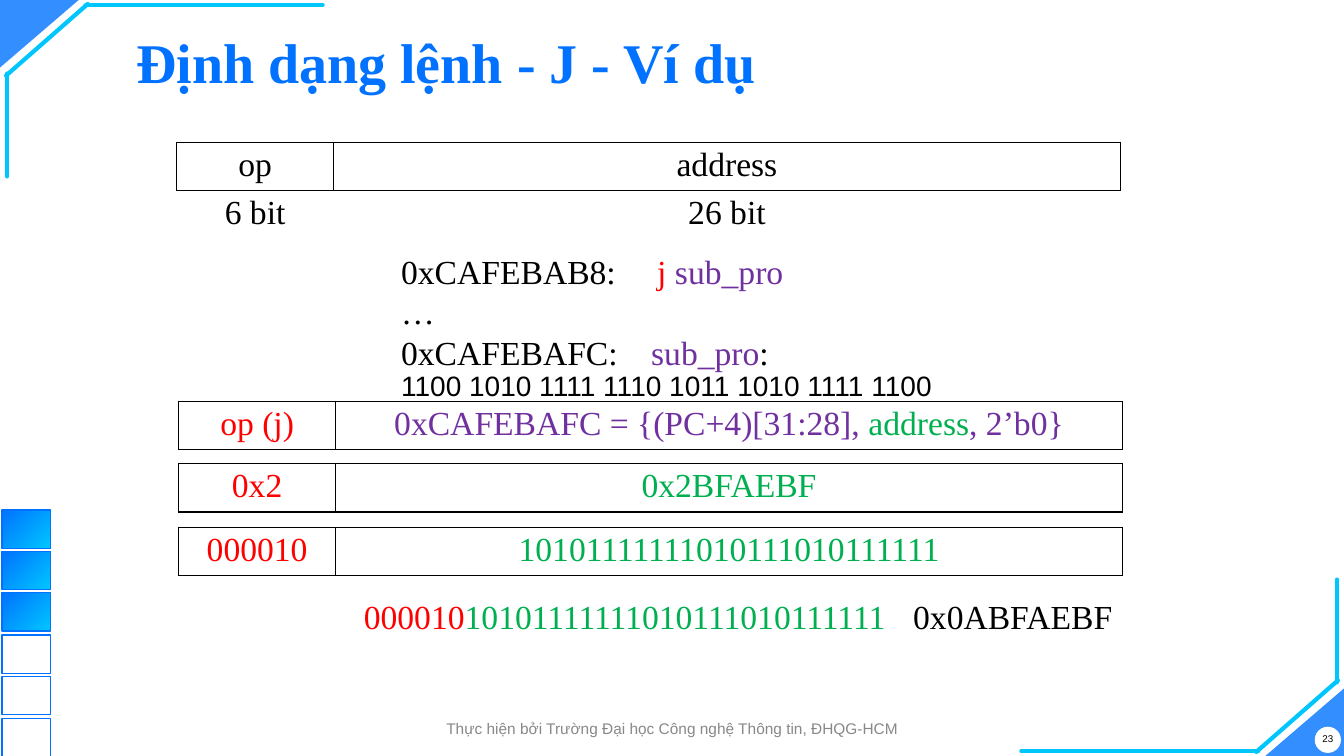
import pptx
import pptx.util
import pptx.dml.color
import pptx.enum.shapes
import pptx.enum.text
import pptx.oxml
import pptx.oxml.ns
import lxml.etree

PX = 9144
BLUE, CYAN, BLACK, WHITE = "0072FF", "00C6FF", "000000", "FFFFFF"
RED, PURPLE, GREEN, GREY = "FF0000", "7030A0", "00B050", "888888"
SERIF, SANS = "Times New Roman", "Arial"
ALIGN = pptx.enum.text.PP_ALIGN
ANCHOR = pptx.enum.text.MSO_ANCHOR
SHAPE = pptx.enum.shapes.MSO_SHAPE
NAMESPACE = pptx.oxml.ns.nsdecls("a")


def color(value):
    return pptx.dml.color.RGBColor.from_string(value)


def write(frame, paragraphs, size=24, font=SERIF, align=ALIGN.LEFT, bold=False, spacing=1.0):
    for index, runs in enumerate(paragraphs):
        paragraph = frame.add_paragraph() if index else frame.paragraphs[0]
        paragraph.alignment = align
        paragraph.line_spacing = spacing
        for text, shade in runs:
            run = paragraph.add_run()
            run.text = text
            run.font.size = pptx.util.Pt(size)
            run.font.name = font
            run.font.bold = bold
            run.font.color.rgb = color(shade)


presentation = pptx.Presentation()
presentation.slide_width = 1333 * PX
presentation.slide_height = 750 * PX
slide = presentation.slides.add_slide(presentation.slide_layouts[5])
shapes = slide.shapes

for left, top, rotation in [(0, 0, 180), (1255, 683, 0)]:
    corner = shapes.add_shape(SHAPE.ISOSCELES_TRIANGLE, left * PX, top * PX, 78 * PX, 67 * PX)
    corner.adjustments[0] = 1
    corner.rotation = rotation
    corner.shadow.inherit = False
    corner.line.fill.background()
    corner.fill.solid()
    corner.fill.fore_color.rgb = color(BLUE)
    shade = corner.fill._xPr.find(".//" + pptx.oxml.ns.qn("a:srgbClr"))
    lxml.etree.SubElement(shade, pptx.oxml.ns.qn("a:alpha"), val="80000")

corner_lines = [
    (320, 5, 85, 5), (87, 4, 6, 75), (7, 175, 7, 73),
    (1013, 745, 1248, 745), (1246, 746, 1327, 675), (1326, 575, 1326, 677),
]
for ends in corner_lines:
    connector = shapes.add_connector(
        pptx.enum.shapes.MSO_CONNECTOR.STRAIGHT, *[end * PX for end in ends])
    connector.line.color.rgb = color(CYAN)
    connector.line.width = pptx.util.Pt(3)
    connector.line._get_or_add_ln().set("cap", "rnd")
    lxml.etree.SubElement(connector._element.spPr, pptx.oxml.ns.qn("a:effectLst"))

number_disc = shapes.add_shape(SHAPE.OVAL, 1304 * PX, 721 * PX, 26 * PX, 26 * PX)
number_disc.shadow.inherit = False
number_disc.fill.solid()
number_disc.fill.fore_color.rgb = color(WHITE)
number_disc.line.fill.background()

for step in range(6):
    square = shapes.add_shape(
        SHAPE.RECTANGLE, 2 * PX, (506 + step * 207 // 5) * PX, 48 * PX, 38 * PX)
    square.shadow.inherit = False
    square.line.color.rgb = color(BLUE)
    square.line.width = pptx.util.Pt(1)
    if step < 3:
        square.fill.gradient()
        square.fill.gradient_angle = 315
        for stop, shade in zip(square.fill.gradient_stops, (BLUE, CYAN)):
            stop.color.rgb = color(shade)
    else:
        square.fill.background()

title = shapes.title
title.left, title.top, title.width, title.height = 125 * PX, 16 * PX, 1150 * PX, 98 * PX
title.text_frame.vertical_anchor = ANCHOR.MIDDLE
title.text_frame.auto_size = pptx.enum.text.MSO_AUTO_SIZE.NONE
write(title.text_frame, [[("Định dạng lệnh - J - Ví dụ", BLUE)]], size=40, bold=True, spacing=0.9)

instruction_tables = [
    (175, 141, [[[("op", BLACK)], [("address", BLACK)]],
                [[("6 bit", BLACK)], [("26 bit", BLACK)]]]),
    (177, 398, [[[("op (j)", RED)],
                 [("0xCAFEBAFC = {(PC+4)[31:28], ", PURPLE), ("address", GREEN),
                  (", 2’b0}", PURPLE)]]]),
    (177, 460, [[[("0x2", RED)], [("0x2BFAEBF", GREEN)]]]),
    (177, 523, [[[("000010", RED)], [("10101111111010111010111111", GREEN)]]]),
]
for left, top, rows in instruction_tables:
    table = shapes.add_table(
        len(rows), 2, left * PX, top * PX, 936 * PX, 48 * len(rows) * PX).table
    table.first_row = False
    table.horz_banding = False
    style = table._tbl.tblPr.find(pptx.oxml.ns.qn("a:tableStyleId"))
    style.text = "{2D5ABB26-0587-4C30-8999-92F81FD0307C}"
    table.columns[0].width = 156 * PX
    table.columns[1].width = 780 * PX
    for row_index, row in enumerate(rows):
        table.rows[row_index].height = 48 * PX
        for column_index, runs in enumerate(row):
            cell = table.cell(row_index, column_index)
            cell.margin_left = cell.margin_right = 7 * PX
            cell.margin_top = cell.margin_bottom = 4 * PX
            write(cell.text_frame, [runs], align=ALIGN.CENTER)
            for side in ("L", "R", "T", "B") if row_index == 0 else ("T",):
                cell._tc.get_or_add_tcPr().append(pptx.oxml.parse_xml(
                    f'<a:ln{side} {NAMESPACE} w="12700"><a:solidFill>'
                    f'<a:srgbClr val="{BLACK}"/></a:solidFill></a:ln{side}>'))
            cell.fill.background()

code_lines = [
    [("0xCAFEBAB8:", BLACK), ("\tj ", RED), ("sub_pro", PURPLE)],
    [("…", BLACK)],
    [("0xCAFEBAFC:\t", BLACK), ("sub_pro", PURPLE), (":", BLACK)],
]
text_boxes = [
    (1301, 717, 32, 32, [[("23", BLACK)]],
     dict(size=7, font=SANS, align=ALIGN.CENTER), ANCHOR.MIDDLE, True),
    (399, 708, 536, 29, [[("Thực hiện bởi Trường Đại học Công nghệ Thông tin, ĐHQG-HCM", GREY)]],
     dict(size=11, font=SANS, align=ALIGN.CENTER), ANCHOR.MIDDLE, True),
    (351, 586, 549, 50, [[("000010", RED), ("10101111111010111010111111", GREEN)]],
     {}, ANCHOR.TOP, True),
    (894, 586, 219, 50, [[("0x0ABFAEBF", BLACK)]],
     dict(align=ALIGN.RIGHT), ANCHOR.TOP, True),
    (388, 361, 573, 44, [[("1100 1010 1111 1110 1011 1010 1111 1100", BLACK)]],
     dict(size=20, font=SANS), ANCHOR.TOP, False),
    (388, 244, 502, 131, code_lines, {}, ANCHOR.TOP, True),
]
for left, top, width, height, paragraphs, text_format, anchor, wrap in text_boxes:
    box = shapes.add_textbox(left * PX, top * PX, width * PX, height * PX)
    box.text_frame.word_wrap = wrap
    box.text_frame.vertical_anchor = anchor
    write(box.text_frame, paragraphs, **text_format)

code_paragraphs = box.text_frame.paragraphs
for paragraph, tab in [(code_paragraphs[0], 254), (code_paragraphs[2], 248)]:
    paragraph._p.get_or_add_pPr().append(pptx.oxml.parse_xml(
        f'<a:tabLst {NAMESPACE}><a:tab pos="{tab * PX}" algn="l"/></a:tabLst>'))

presentation.save("out.pptx")
